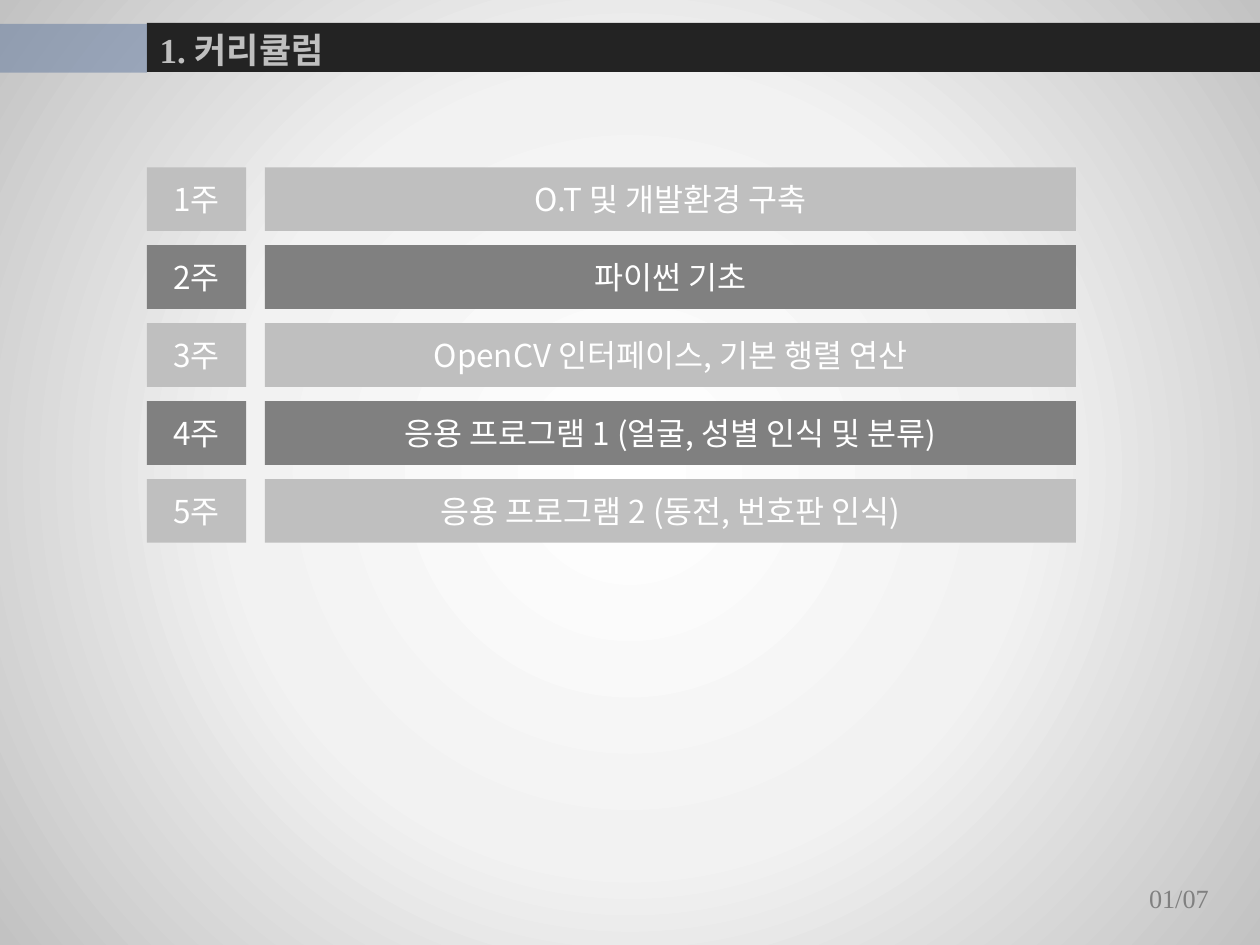
from lxml import etree
from pptx import Presentation
from pptx.dml.color import RGBColor
from pptx.enum.shapes import MSO_SHAPE
from pptx.enum.text import MSO_ANCHOR, MSO_AUTO_SIZE, PP_ALIGN
from pptx.oxml import parse_xml
from pptx.oxml.ns import qn
from pptx.util import Pt

RECT = MSO_SHAPE.RECTANGLE
MIDDLE, TOP = MSO_ANCHOR.MIDDLE, MSO_ANCHOR.TOP
GROW = MSO_AUTO_SIZE.SHAPE_TO_FIT_TEXT
LEFT, CENTER = PP_ALIGN.LEFT, PP_ALIGN.CENTER

COLORS = {
    "white": "FFFFFF", "pale": "F2F2F2", "edge": "C2C2C2",
    "light": "BFBFBF", "dark": "808080", "bar": "232323", "accent": "5F779E",
}
SANS, SERIF = "Noto Sans CJK KR", "Times New Roman"
A_NS = "http://schemas.openxmlformats.org/drawingml/2006/main"
WEEKS = [
    "O.T 및 개발환경 구축",
    "파이썬 기초",
    "OpenCV 인터페이스, 기본 행렬 연산",
    "응용 프로그램 1 (얼굴, 성별 인식 및 분류)",
    "응용 프로그램 2 (동전, 번호판 인식)",
]
ROW_TOP, ROW_PITCH, ROW_HEIGHT = 95.6, 44.55, 36.4


class Deck:
    def __init__(self, prs):
        self.s = prs.slides.add_slide(prs.slide_layouts[1])

    def background(self, stops):
        gs = "".join(
            f'<a:gs pos="{pos * 1000}"><a:srgbClr val="{COLORS[c]}"/></a:gs>'
            for pos, c in stops)
        grad = parse_xml(
            f'<a:gradFill xmlns:a="{A_NS}" rotWithShape="1"><a:gsLst>{gs}</a:gsLst>'
            '<a:path path="circle"><a:fillToRect l="50000" t="50000" r="50000" b="50000"/>'
            '</a:path></a:gradFill>')
        fill = self.s.background.fill
        fill.solid()
        old = self.s.element.cSld.bg.bgPr.find(qn("a:solidFill"))
        old.getparent().replace(old, grad)

    def set_text(self, sp, text, size, font, color, align, bold=False):
        p = sp.text_frame.paragraphs[0]
        p.text = text
        p.alignment = align
        f = p.font
        f.size, f.name, f.bold = Pt(size), font, bold
        f.color.rgb = RGBColor.from_string(COLORS[color])
        ea = etree.SubElement(p._p.pPr.find(qn("a:defRPr")), qn("a:ea"))
        ea.set("typeface", SANS)
        return p

    def rect(self, box, color, alpha=None):
        sp = self.s.shapes.add_shape(RECT, *map(Pt, box))
        sp.shadow.inherit = False
        sp.fill.solid()
        sp.fill.fore_color.rgb = RGBColor.from_string(COLORS[color])
        sp.line.fill.background()
        if alpha is not None:
            clr = sp._element.spPr.find(qn("a:solidFill"))[0]
            etree.SubElement(clr, qn("a:alpha")).set("val", str(alpha * 1000))
        return sp

    def band(self, box, color, alpha=None):
        sp = self.rect(box, color, alpha)
        self.s.shapes._spTree.insert(2, sp._element)

    def cell(self, box, color, text):
        sp = self.rect(box, color)
        sp.text_frame.vertical_anchor = MIDDLE
        sp.text_frame.word_wrap = True
        self.set_text(sp, text, 18, SANS, "white", CENTER)

    def placeholder(self, sp, box, text, size, color, anchor, bold=False):
        sp.left, sp.top, sp.width, sp.height = map(Pt, box)
        tf = sp.text_frame
        tf.word_wrap, tf.auto_size, tf.vertical_anchor = True, GROW, anchor
        return self.set_text(sp, text, size, SERIF, color, LEFT, bold)

    def title(self, box, text):
        self.placeholder(self.s.shapes.title, box, text, 20, "light", MIDDLE, True)

    def page_number(self, box, text):
        p = self.placeholder(self.s.placeholders[1], box, text, 15, "dark", TOP)
        pPr = p._p.pPr
        pPr.set("marL", "0")
        pPr.set("indent", "0")
        pPr.find(qn("a:defRPr")).addprevious(etree.Element(qn("a:buNone")))


def main():
    prs = Presentation()
    prs.slide_width, prs.slide_height = Pt(720), Pt(540)
    deck = Deck(prs)
    deck.background([(0, "white"), (50, "pale"), (100, "edge")])
    deck.band((0, 13.6, 84, 28), "accent", 50)
    deck.band((84, 13.1, 636, 28), "bar")
    deck.page_number((649.4, 500.4, 57, 25.2), "01/07")
    deck.title((84, 12.4, 366.5, 31.5), "1. 커리큘럼")
    for i, topic in enumerate(WEEKS):
        y = ROW_TOP + i * ROW_PITCH
        color = "dark" if i % 2 else "light"
        deck.cell((84, y, 56.7, ROW_HEIGHT), color, f"{i + 1}주")
        deck.cell((151.4, y, 463.4, ROW_HEIGHT), color, topic)
    prs.save("out.pptx")


if __name__ == "__main__":
    main()
